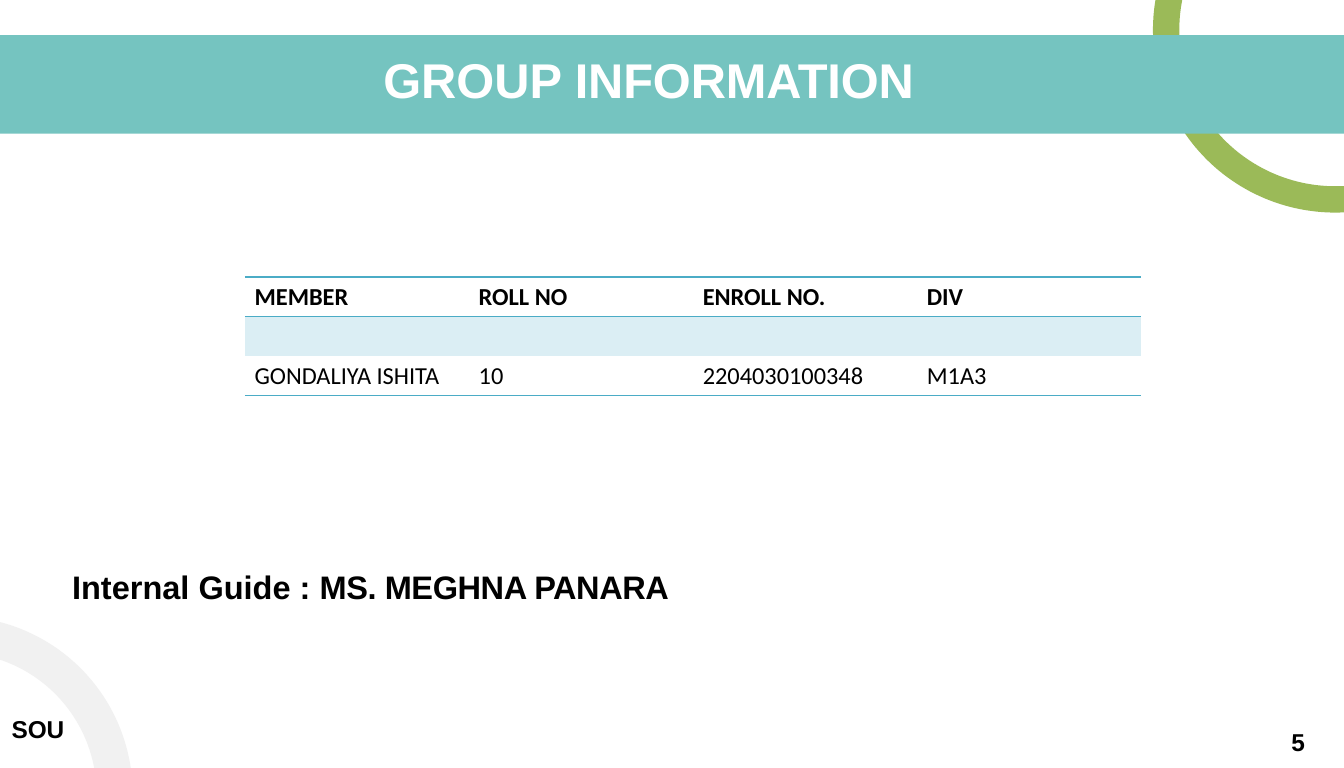
"""Build the group information slide with its member table."""
import math

import pptx
import pptx.dml.color
import pptx.enum.shapes
import pptx.enum.text
import pptx.oxml
import pptx.oxml.ns
import pptx.util

Inches = pptx.util.Inches
Pt = pptx.util.Pt

SLIDE_SIZE = {"slide_width": Pt(992), "slide_height": Pt(567)}
COLORS = {
    "green": "9BBA58", "teal": "75C4C0", "gray": "F1F1F1", "white": "FFFFFF",
    "black": "000000", "border": "4BACC6", "stripe": "DBEEF4",
}
RINGS = [
    {"center": (13.69, 0.31), "color": "green",
     "arcs": [(1.87, 189.54, 87.24), (1.6, 86.78, 191.17)]},
    {"center": (-0.46, 8.14), "color": "gray",
     "arcs": [(1.82, -75.36, -8.37), (1.45, -10.53, -71.51)]},
]
BANNER = (0, 0.36, 13.78, 1.01)
TITLE = {
    "box": (3.92, 0.5, 6.3, 0.63), "inset": (0.01, 0.01), "size": 36, "color": "white",
    "runs": [("GROUP ", 0), ("INFORMATION", -10)],
    "paragraph": {"space_before": Pt(1)},
}
LABELS = [
    {"box": (0.09, 7.16, 0.92, 0.47), "inset": (0.03, 0.17), "size": 18, "color": "black",
     "runs": [("SOU", -10)], "paragraph": {"line_spacing": Pt(20.9)}},
    {"box": (13.13, 7.47, 0.36, 0.31), "inset": (0.11, 0), "size": 18, "color": "black",
     "runs": [("5", 0)], "paragraph": {"line_spacing": Pt(20.9)}},
    {"box": (0.73, 5.8, 6.17, 0.42), "inset": (0.01, 0.01), "size": 24, "color": "black",
     "runs": [("Internal Guide : ", 0), ("MS. MEGHNA PANARA", -30)],
     "paragraph": {"space_before": Pt(1)}},
]
TABLE_BOX = (2.51, 2.84, 9.19, 1.22)
MEMBERS = [
    ("MEMBER", "ROLL NO", "ENROLL NO.", "DIV"),
    ("", "", "", ""),
    ("GONDALIYA ISHITA", "10", "2204030100348", "M1A3"),
]
ROW_BORDERS = ["TB", "T", "B"]
ROW_FILLS = [None, "stripe", None]


def rgb(name):
    return pptx.dml.color.RGBColor.from_string(COLORS[name])


def set_values(target, values):
    for name, value in values.items():
        setattr(target, name, value)


def paint(shape, color):
    shape.shadow.inherit = False
    shape.fill.solid()
    shape.fill.fore_color.rgb = rgb(color)
    shape.line.fill.background()


def format_font(font, name, size, bold, color):
    set_values(font, {"name": name, "size": Pt(size), "bold": bold})
    font.color.rgb = rgb(color)


def add_ring(slide, ring, steps=60):
    center_x, center_y = ring["center"]
    points = []
    for radius, start, end in ring["arcs"]:
        for step in range(steps + 1):
            angle = math.radians(start + (end - start) * step / steps)
            points.append((Inches(center_x + radius * math.cos(angle)),
                           Inches(center_y + radius * math.sin(angle))))
    builder = slide.shapes.build_freeform(*points[0])
    builder.add_line_segments(points[1:], close=True)
    paint(builder.convert_to_shape(), ring["color"])


def write_text(shape, label):
    left, top = label["inset"]
    frame = shape.text_frame
    set_values(frame, {
        "margin_left": Inches(left), "margin_top": Inches(top),
        "margin_right": 0, "margin_bottom": 0, "word_wrap": True,
        "auto_size": pptx.enum.text.MSO_AUTO_SIZE.NONE,
        "vertical_anchor": pptx.enum.text.MSO_ANCHOR.TOP,
    })
    paragraph = frame.paragraphs[0]
    set_values(paragraph, {"alignment": pptx.enum.text.PP_ALIGN.LEFT, **label["paragraph"]})
    for text, spacing in label["runs"]:
        run = paragraph.add_run()
        run.text = text
        format_font(run.font, "Arial", label["size"], True, label["color"])
        run.font._element.set("spc", str(spacing))


def set_borders(cell, visible):
    properties = cell._tc.get_or_add_tcPr()
    for side in "LRTB":
        paint_xml = "<a:noFill/>"
        if side in visible:
            paint_xml = f'<a:solidFill><a:srgbClr val="{COLORS["border"]}"/></a:solidFill>'
        properties.append(pptx.oxml.parse_xml(
            f'<a:ln{side} {pptx.oxml.ns.nsdecls("a")} w="{Pt(1)}">{paint_xml}</a:ln{side}>'))


def add_member_table(slide):
    frame = slide.shapes.add_table(len(MEMBERS), len(MEMBERS[0]), *map(Inches, TABLE_BOX))
    table = frame.table
    set_values(table, {"first_row": False, "horz_banding": False})
    for row_index, values in enumerate(MEMBERS):
        for column_index, value in enumerate(values):
            cell = table.cell(row_index, column_index)
            set_borders(cell, ROW_BORDERS[row_index])
            if ROW_FILLS[row_index]:
                cell.fill.solid()
                cell.fill.fore_color.rgb = rgb(ROW_FILLS[row_index])
            else:
                cell.fill.background()
            if value:
                run = cell.text_frame.paragraphs[0].add_run()
                run.text = value
                format_font(run.font, "Calibri", 18, row_index == 0, "black")


def main():
    presentation = pptx.Presentation()
    set_values(presentation, SLIDE_SIZE)
    slide = presentation.slides.add_slide(presentation.slide_layouts[5])
    slide.background.fill.solid()
    slide.background.fill.fore_color.rgb = rgb("white")

    green_ring, gray_ring = RINGS
    add_ring(slide, green_ring)
    banner = slide.shapes.add_shape(pptx.enum.shapes.MSO_SHAPE.RECTANGLE, *map(Inches, BANNER))
    paint(banner, "teal")
    add_ring(slide, gray_ring)

    title = slide.shapes.title
    set_values(title, dict(zip(("left", "top", "width", "height"), map(Inches, TITLE["box"]))))
    write_text(title, TITLE)
    slide.shapes._spTree.append(title._element)

    for label in LABELS:
        write_text(slide.shapes.add_textbox(*map(Inches, label["box"])), label)
    add_member_table(slide)
    presentation.save("out.pptx")


if __name__ == "__main__":
    main()
